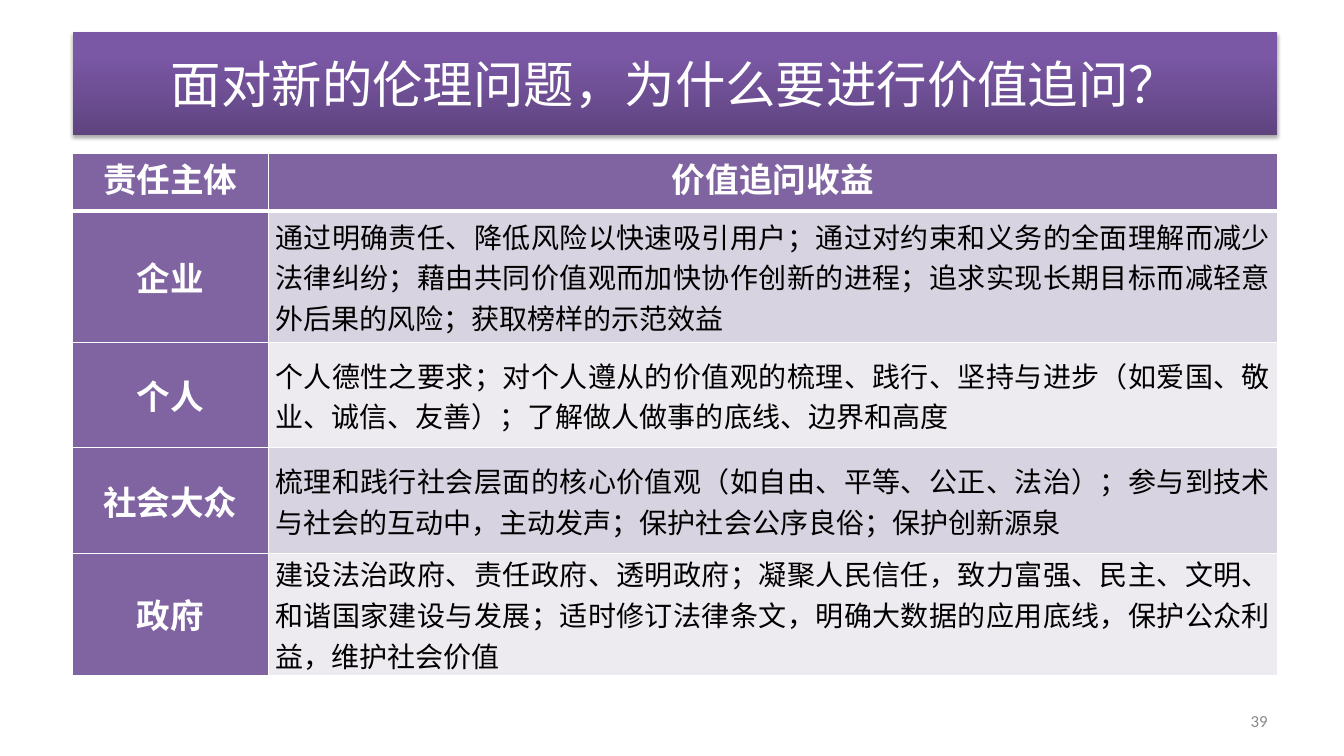
from lxml import etree
from pptx import Presentation
from pptx.dml.color import RGBColor
from pptx.enum.shapes import MSO_SHAPE
from pptx.enum.text import MSO_ANCHOR as ANCHOR, PP_ALIGN as ALIGN
from pptx.oxml import parse_xml
from pptx.oxml.ns import nsdecls, qn
from pptx.util import Inches, Pt

WHITE = RGBColor(0xFF, 0xFF, 0xFF)
BLACK = RGBColor(0, 0, 0)
GREY = RGBColor(0x89, 0x89, 0x89)
PURPLE = RGBColor(0x80, 0x64, 0xA2)
BANDS = [RGBColor(0xD8, 0xD3, 0xE0), RGBColor(0xED, 0xEA, 0xF0)]
TITLE_STOPS = [
    (0, RGBColor(0x5F, 0x44, 0x80)),
    (80, RGBColor(0x7B, 0x58, 0xA6)),
    (100, RGBColor(0x7C, 0x57, 0xA8)),
]
CJK = "Noto Sans CJK SC"
LEFT, WIDTH = 0.72, 11.95

ROWS = [
    ("责任主体", "价值追问收益", 0.57),
    ("企业", "通过明确责任、降低风险以快速吸引用户；通过对约束和义务的全面理解而减少"
     "法律纠纷；藉由共同价值观而加快协作创新的进程；追求实现长期目标而减轻意"
     "外后果的风险；获取榜样的示范效益", 1.31),
    ("个人", "个人德性之要求；对个人遵从的价值观的梳理、践行、坚持与进步（如爱国、敬"
     "业、诚信、友善）；了解做人做事的底线、边界和高度", 1.04),
    ("社会大众", "梳理和践行社会层面的核心价值观（如自由、平等、公正、法治）；参与到技术"
     "与社会的互动中，主动发声；保护社会公序良俗；保护创新源泉", 1.05),
    ("政府", "建设法治政府、责任政府、透明政府；凝聚人民信任，致力富强、民主、文明、"
     "和谐国家建设与发展；适时修订法律条文，明确大数据的应用底线，保护公众利"
     "益，维护社会价值", 1.04),
]


def write(tf, text, size, color, align, font=CJK, bold=False):
    p = tf.paragraphs[0]
    p.alignment = align
    r = p.add_run()
    r.text = text
    r.font.size = Pt(size)
    r.font.bold = bold
    r.font.color.rgb = color
    r.font.name = font
    etree.SubElement(r.font._element, qn("a:ea"), typeface=font)


def set_borders(cell, top, bottom):
    """Give a cell white borders; top and bottom are widths in points."""
    widths = [("L", 1), ("R", 1), ("T", top), ("B", bottom)]
    for i, (side, width) in enumerate(widths):
        cell._tc.get_or_add_tcPr().insert(i, parse_xml(
            f'<a:ln{side} {nsdecls("a")} w="{Pt(width)}"><a:solidFill>'
            f'<a:srgbClr val="{WHITE}"/></a:solidFill></a:ln{side}>'))


prs = Presentation()
prs.slide_width, prs.slide_height = Inches(13.33), Inches(7.5)
s = prs.slides.add_slide(prs.slide_layouts[6])

# Title bar
title = s.shapes.add_shape(MSO_SHAPE.RECTANGLE, Inches(LEFT), Inches(0.32),
                           Inches(WIDTH), Inches(1.02))
title.line.fill.background()
title.fill.gradient()
title.fill.gradient_angle = 90
stops = title._element.spPr.find(".//" + qn("a:gsLst"))
for old in list(stops):
    stops.remove(old)
for position, color in TITLE_STOPS:
    gs = etree.SubElement(stops, qn("a:gs"), pos=str(position * 1000))
    etree.SubElement(gs, qn("a:srgbClr"), val=str(color))
title.shadow.inherit = False
title._element.spPr.find(qn("a:effectLst")).append(parse_xml(
    f'<a:outerShdw {nsdecls("a")} blurRad="{Pt(3.1)}" dist="{Pt(1.8)}" '
    f'dir="5400000" rotWithShape="0"><a:srgbClr val="{BLACK}">'
    '<a:alpha val="35000"/></a:srgbClr></a:outerShdw>'))
title.text_frame.word_wrap = True
title.text_frame.vertical_anchor = ANCHOR.MIDDLE
write(title.text_frame, "面对新的伦理问题，为什么要进行价值追问？", 36, WHITE, ALIGN.CENTER)

# Table of responsible parties and benefits
table = s.shapes.add_table(len(ROWS), 2, Inches(LEFT), Inches(1.52),
                           Inches(WIDTH), Inches(5.01)).table
table.columns[0].width = Inches(1.94)
table.columns[1].width = Inches(10.01)
for i, (party, benefit, height) in enumerate(ROWS):
    table.rows[i].height = Inches(height)
    for j, text in enumerate((party, benefit)):
        cell = table.cell(i, j)
        heading = i == 0 or j == 0
        cell.margin_left = cell.margin_right = Inches(0.07)
        cell.margin_top = cell.margin_bottom = 0
        cell.vertical_anchor = ANCHOR.TOP if i == 0 else ANCHOR.MIDDLE
        cell.fill.solid()
        cell.fill.fore_color.rgb = PURPLE if heading else BANDS[(i - 1) % 2]
        set_borders(cell, top=3 if i == 1 else 1, bottom=3 if i == 0 else 1)
        if heading:
            write(cell.text_frame, text, 24, WHITE, ALIGN.CENTER, bold=True)
        else:
            write(cell.text_frame, text, 20, BLACK, ALIGN.JUSTIFY)

# Page number
number = s.shapes.add_textbox(Inches(9.56), Inches(6.95), Inches(3.11), Inches(0.4))
number.text_frame.word_wrap = True
number.text_frame.vertical_anchor = ANCHOR.MIDDLE
write(number.text_frame, "39", 12, GREY, ALIGN.RIGHT, font="Calibri")

prs.save("out.pptx")
